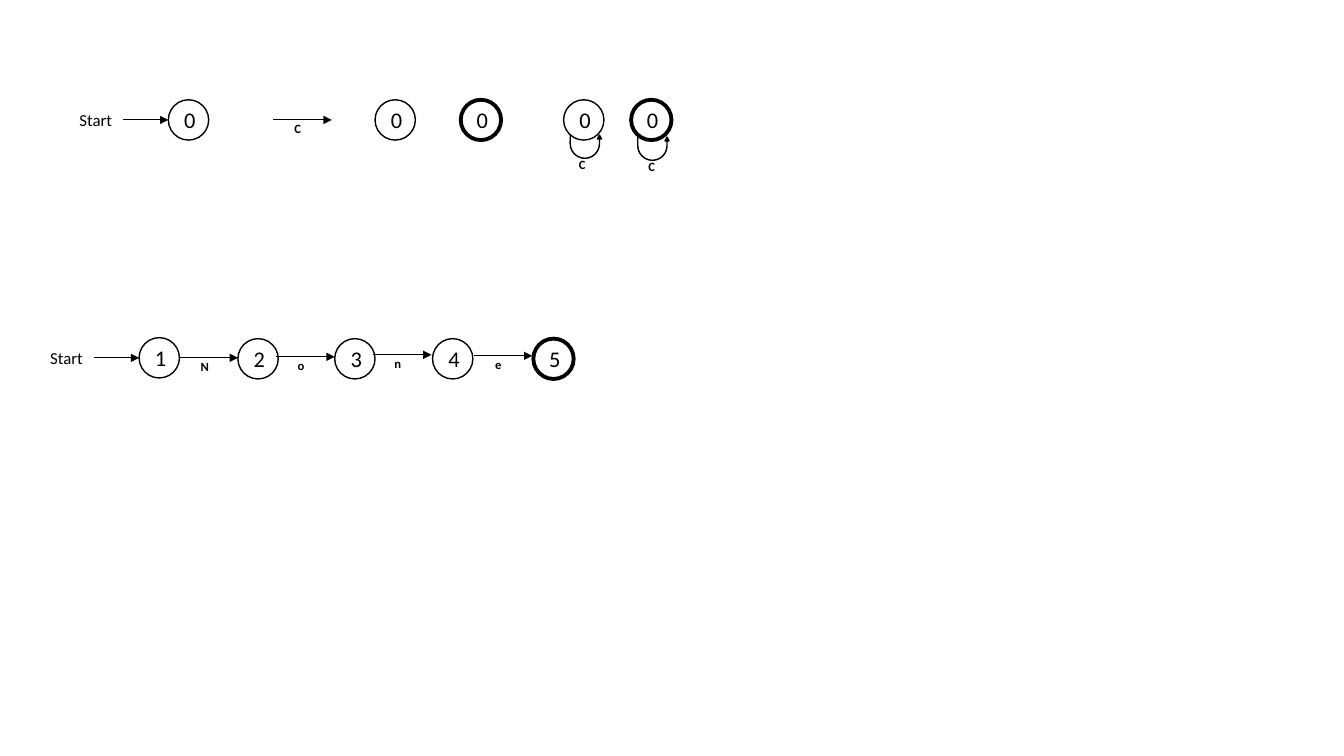
from lxml.etree import SubElement
from pptx import Presentation
from pptx.dml.color import RGBColor
from pptx.enum.shapes import MSO_CONNECTOR as Connector, MSO_SHAPE as Shape
from pptx.enum.text import MSO_ANCHOR as Anchor, MSO_AUTO_SIZE as AutoSize, PP_ALIGN as Align
from pptx.oxml.ns import qn
from pptx.util import Inches, Pt

BLACK = RGBColor(0, 0, 0)
FONT = "Calibri"

# Fine grid: 100 units to the inch
UNIT = Inches(0.01)
STATE = 40          # diameter of a state
START_ARROW = 45
STEP_ARROW = 58
LEGEND_ROW = 119    # centre line of the symbol legend
CHAIN_ROW = 355     # centre line of the automaton

# Left edge of each state and its number
CHAIN = [(236, "2"), (332, "3"), (429, "4"), (529, "5")]
# Start of each transition, its row and its letter
STEPS = [(178, CHAIN_ROW, "N"), (274, 354, "o"), (370, 352, "n"), (470, 353, "e")]


def grid(*lengths):
    return [length * UNIT for length in lengths]


def write(shape, text, size=12, bold=False, align=Align.LEFT):
    para = shape.text_frame.paragraphs[0]
    para.alignment = align
    span = para.add_run()
    span.text = text
    span.font.name = FONT
    span.font.size = Pt(size)
    span.font.bold = bold
    span.font.color.rgb = BLACK


def add_text(group, left, top, width, height, text, **style):
    box = group.shapes.add_textbox(*grid(left, top, width, height))
    box.text_frame.word_wrap = False
    box.text_frame.auto_size = AutoSize.SHAPE_TO_FIT_TEXT
    write(box, text, **style)


def add_letter(group, left, top, letter):
    add_text(group, left, top, 16, 25, letter, size=9, bold=True)


def add_state(parent, left, row, number, final=False):
    circle = parent.shapes.add_shape(
        Shape.OVAL, *grid(left, row - STATE / 2, STATE, STATE))
    circle.shadow.inherit = False
    circle.fill.background()
    circle.line.color.rgb = BLACK
    circle.line.width = Pt(2.75 if final else 1)
    circle.text_frame.word_wrap = True
    circle.text_frame.vertical_anchor = Anchor.MIDDLE
    write(circle, number, size=16, align=Align.CENTER)


def add_arrow(group, left, row, length):
    arrow = group.shapes.add_connector(
        Connector.STRAIGHT, *grid(left, row, left + length, row))
    arrow.line.color.rgb = BLACK
    arrow.line.width = Pt(0.75)
    SubElement(arrow.line._get_or_add_ln(), qn("a:tailEnd"), type="triangle")
    SubElement(arrow._element.spPr, qn("a:effectLst"))


def add_start(page, left, row, number):
    """Word, arrow and the first state, whose left edge is given."""
    group = page.shapes.add_group_shape()
    add_text(group, left - 98, row - 15, 53, 30, "Start")
    add_arrow(group, left - START_ARROW, row, START_ARROW)
    add_state(group, left, row, number)


def add_step(page, left, row, letter):
    """Transition arrow with its letter below."""
    group = page.shapes.add_group_shape()
    add_arrow(group, left, row, STEP_ARROW)
    add_letter(group, left + 15, row - 4, letter)


def add_looped_state(page, left, row, number, letter, final=False):
    """State with an arrow back to itself."""
    group = page.shapes.add_group_shape()
    add_state(group, left, row, number, final)
    drop = 2 if final else 0
    loop = group.shapes.add_shape(
        Shape.U_TURN_ARROW, *grid(left + 6.5, row + 15 + drop, 31, 23))
    loop.shadow.inherit = False
    for index, value in enumerate((0, 0.085, 0.164, 0.717, 1)):
        loop.adjustments[index] = value
    loop.rotation = 180
    loop._element.spPr.xfrm.set("flipH", "1")
    loop.fill.solid()
    loop.fill.fore_color.rgb = BLACK
    loop.line.color.rgb = BLACK
    loop.line.width = Pt(1)
    add_letter(group, left + 9 + drop, row + 32 + drop, letter)


def main():
    deck = Presentation()
    deck.slide_width, deck.slide_height = Inches(13.33), Inches(7.5)
    page = deck.slides.add_slide(deck.slide_layouts[6])

    # Legend of symbols
    add_start(page, 167, LEGEND_ROW, "0")
    add_state(page, 372, LEGEND_ROW, "0")
    add_step(page, 271, LEGEND_ROW, "C")
    add_state(page, 457, LEGEND_ROW, "0", final=True)
    add_looped_state(page, 559, LEGEND_ROW, "0", "C")
    add_looped_state(page, 626, LEGEND_ROW, "0", "C", final=True)

    # Automaton that accepts one word
    add_start(page, 138, CHAIN_ROW, "1")
    for step, (left, number) in zip(STEPS, CHAIN):
        add_step(page, *step)
        add_state(page, left, CHAIN_ROW + 1, number, final=number == "5")

    deck.save("out.pptx")


if __name__ == "__main__":
    main()
